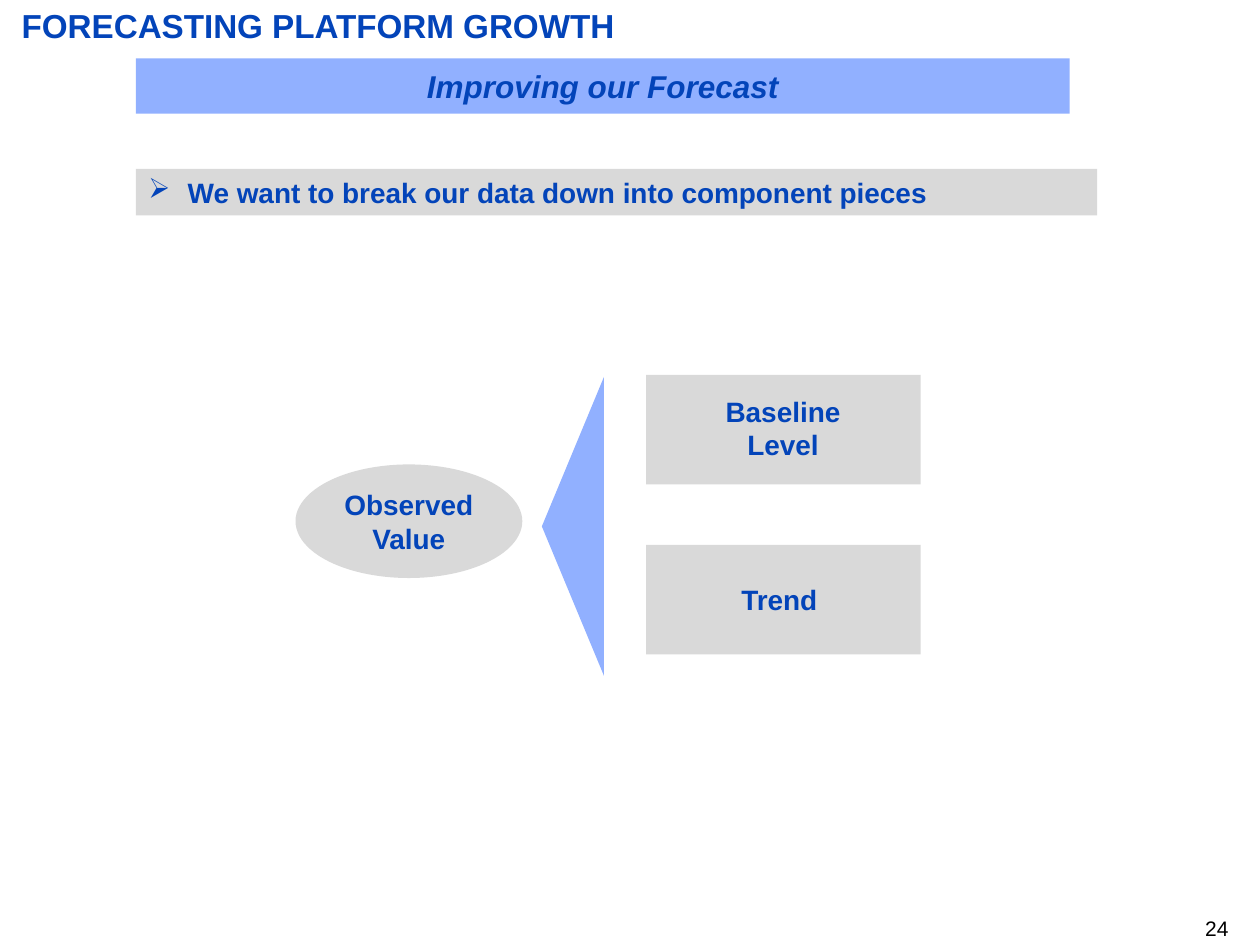
from lxml import etree
from pptx import Presentation
from pptx.dml.color import RGBColor
from pptx.enum import shapes, text
from pptx.oxml import ns
from pptx.util import Pt

BLUE = RGBColor(0x03, 0x44, 0xB9)
LIGHT_BLUE = RGBColor(0x91, 0xB0, 0xFF)
GREY = RGBColor(0xD9, 0xD9, 0xD9)
BLACK = RGBColor(0, 0, 0)

SHAPE = shapes.MSO_SHAPE
ALIGN = text.PP_ALIGN
ANCHOR = text.MSO_ANCHOR


class SlideStyle:
    """Holds the look of the deck and the slide being built."""

    font_name = "Arial"
    label_size = 16

    def __init__(self, slide):
        self.slide = slide

    def set_text(self, box, words, size=label_size, color=BLUE, bold=True,
                 italic=False, align=ALIGN.CENTER, anchor=ANCHOR.MIDDLE,
                 margins=(7.2, 3.6), bullet=None):
        frame = box.text_frame
        frame.word_wrap = True
        frame.auto_size = text.MSO_AUTO_SIZE.NONE
        frame.vertical_anchor = anchor
        frame.margin_left = frame.margin_right = Pt(margins[0])
        frame.margin_top = frame.margin_bottom = Pt(margins[1])
        frame.text = words
        para = frame.paragraphs[0]
        para.alignment = align
        if bullet:
            self.add_bullet(para, bullet)
        font = para.font
        font.name, font.size = self.font_name, Pt(size)
        font.bold, font.italic = bold, italic
        font.color.rgb = color

    def add_bullet(self, para, symbol, indent=22.5):
        properties = para._p.get_or_add_pPr()
        properties.set("marL", str(Pt(indent)))
        properties.set("indent", str(-Pt(indent)))
        mark = etree.SubElement(properties, ns.qn("a:buChar"))
        mark.set("char", symbol)

    def title(self, words, left, top, width, height):
        box = self.slide.shapes.title
        box.left, box.top = Pt(left), Pt(top)
        box.width, box.height = Pt(width), Pt(height)
        self.set_text(box, words, size=19, align=ALIGN.LEFT,
                      anchor=ANCHOR.TOP, margins=(0, 0))

    def shape(self, kind, left, top, width, height, fill=GREY):
        shape = self.slide.shapes.add_shape(
            kind, Pt(left), Pt(top), Pt(width), Pt(height))
        shape.shadow.inherit = False
        shape.fill.solid()
        shape.fill.fore_color.rgb = fill
        shape.line.fill.background()
        return shape

    def label(self, words, left, top, width, height, **looks):
        box = self.slide.shapes.add_textbox(
            Pt(left), Pt(top), Pt(width), Pt(height))
        self.set_text(box, words, **looks)


def main():
    deck = Presentation()
    deck.slide_width, deck.slide_height = Pt(720), Pt(540)
    page = SlideStyle(deck.slides.add_slide(deck.slide_layouts[5]))

    # Heading and page number
    page.title("FORECASTING PLATFORM GROWTH", 12.4, 3, 692.6, 23)
    page.label("24", 552.2, 523.4, 149.8, 14.4, size=12, color=BLACK,
               bold=False, align=ALIGN.RIGHT, margins=(0, 0))

    # Banner and key message
    banner = page.shape(SHAPE.RECTANGLE, 77.7, 33.3, 533.5, 31.6, LIGHT_BLUE)
    page.set_text(banner, "Improving our Forecast", size=18, italic=True)
    message = page.shape(SHAPE.RECTANGLE, 77.7, 96.5, 549.3, 26.7)
    page.set_text(message,
                  "We want to break our data down into component pieces",
                  align=ALIGN.LEFT, bullet="➢")

    # Observed value, opening out to the right
    observed = page.shape(SHAPE.OVAL, 168.9, 265.4, 129.6, 64.9)
    page.set_text(observed, "Observed Value")
    wedge = page.shape(SHAPE.ISOSCELES_TRIANGLE, 242, 283, 170.8, 35.5,
                       LIGHT_BLUE)
    wedge.rotation = 270

    # Component pieces: a panel each, with a narrower label over it
    components = [("Baseline Level", 386.6, 221.4, 46),
                  ("Trend", 384.5, 329.4, 26.6)]
    for index, (words, left, top, height) in enumerate(components):
        page.shape(SHAPE.RECTANGLE, 369.2, 214.3 + 97.1 * index, 156.9, 62.6)
        page.label(words, left, top, 121.7, height)

    deck.save("out.pptx")


if __name__ == "__main__":
    main()
